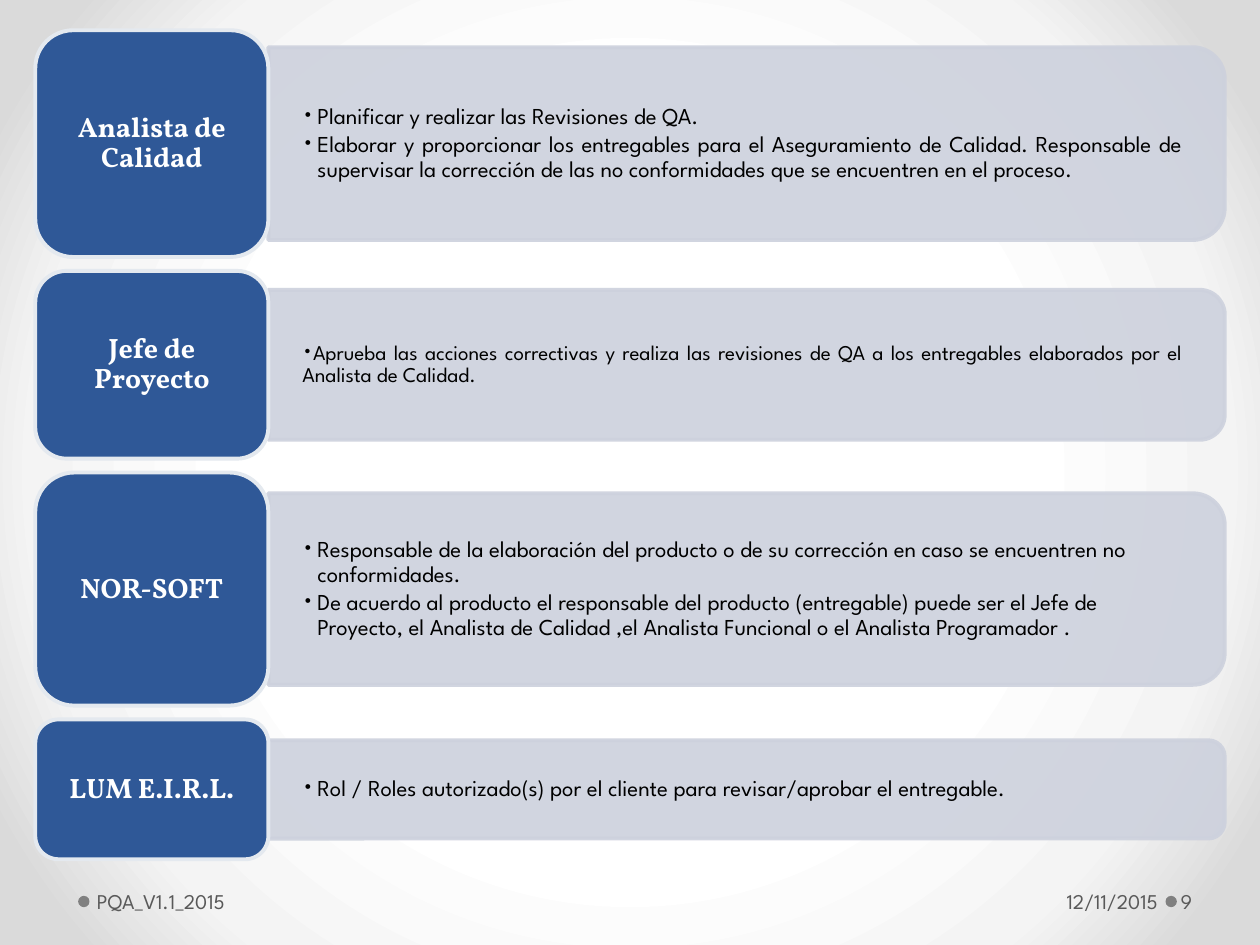
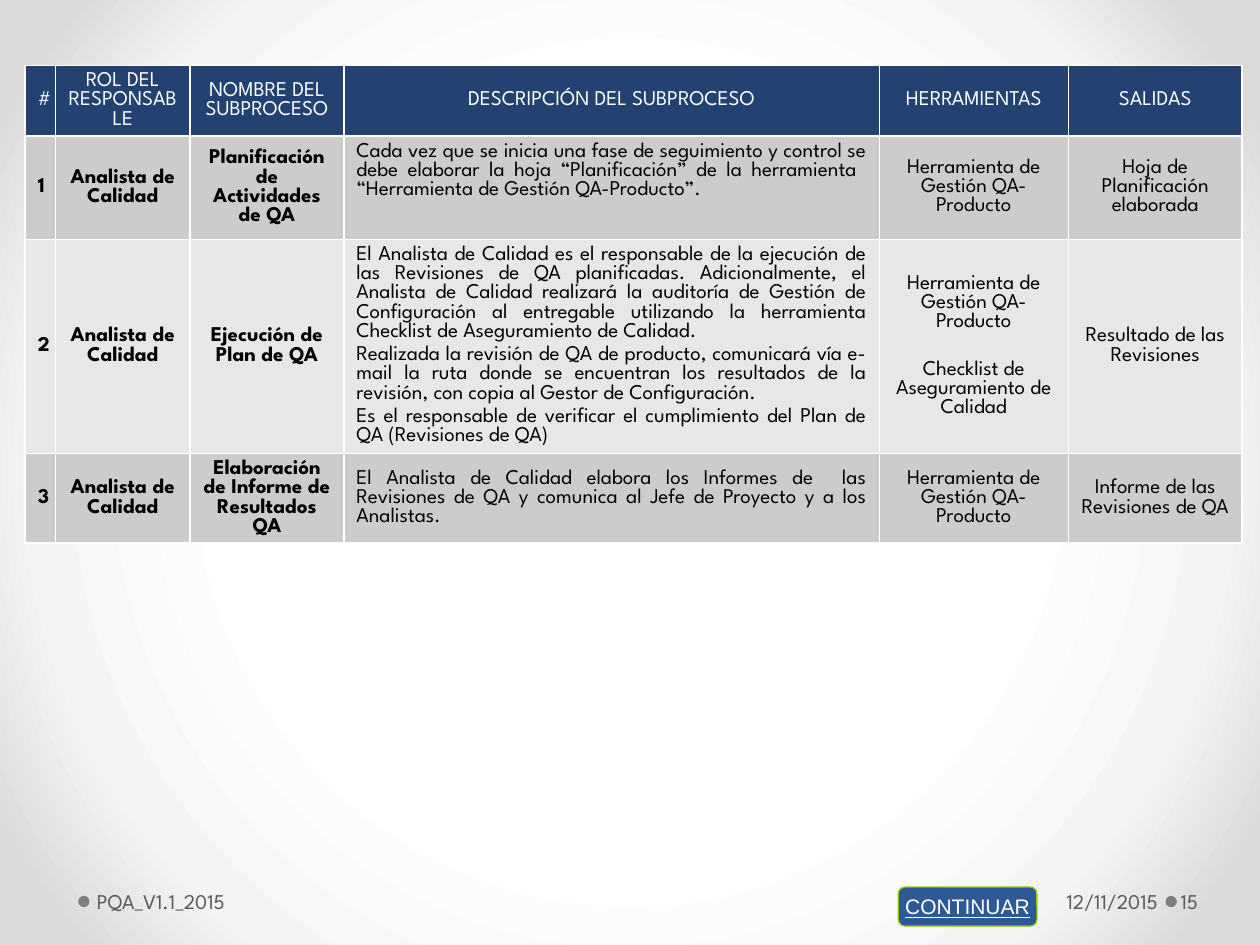
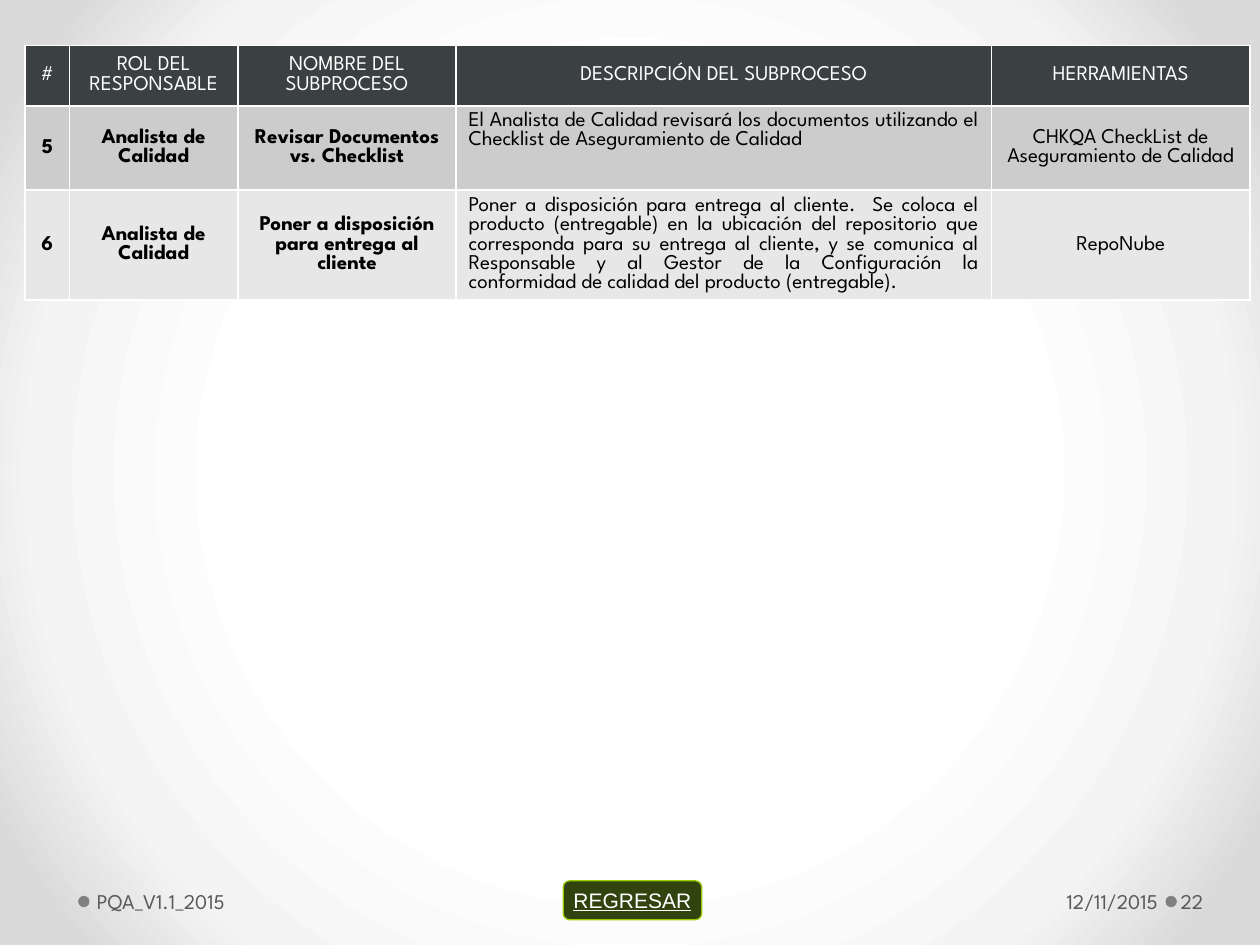
import pptx
import pptx.util
import pptx.oxml
import pptx.oxml.ns
import pptx.dml.color
import pptx.enum.shapes
import pptx.enum.text
import lxml.etree

Inches = pptx.util.Inches
Pt = pptx.util.Pt
RGBColor = pptx.dml.color.RGBColor
SHAPE = pptx.enum.shapes.MSO_SHAPE
ALIGN = pptx.enum.text.PP_ALIGN
MIDDLE = pptx.enum.text.MSO_ANCHOR.MIDDLE
TOP = pptx.enum.text.MSO_ANCHOR.TOP
qn = pptx.oxml.ns.qn

WHITE = RGBColor(0xFF, 0xFF, 0xFF)
BLACK = RGBColor(0x00, 0x00, 0x00)
FOOTER_GRAY = RGBColor(0x59, 0x59, 0x59)
DOT_GRAY = RGBColor(0x80, 0x80, 0x80)
BLUE = RGBColor(0x2F, 0x58, 0x97)
TILE_EDGE = RGBColor(0xE4, 0xE9, 0xEF)
PANEL = RGBColor(0xCD, 0xD1, 0xDD)
HEADER_BLUE = RGBColor(0x23, 0x42, 0x71)
HEADER_GRAY = RGBColor(0x3B, 0x40, 0x42)
ROW_DARK = RGBColor(0xCC, 0xCC, 0xCC)
ROW_LIGHT = RGBColor(0xE7, 0xE7, 0xE7)
LIME = RGBColor(0x99, 0xCC, 0x00)
DARK_GREEN = RGBColor(0x31, 0x44, 0x10)
BACKGROUND_STOPS = [(50, "FFFFFF"), (76, "F4F4F4"), (92, "DADADA")]

BODY_FONT = {"name": "League Spartan", "size": Pt(12), "bold": False}
TILE_FONT = {"name": "Vollkorn", "size": Pt(16), "bold": True}
BUTTON_FONT = {"name": "Arial", "size": Pt(12), "underline": True}


def write(frame, texts, color, font, paragraph_format, frame_format):
    for name, value in frame_format.items():
        setattr(frame, name, value)
    for index, text in enumerate(texts):
        paragraph = frame.add_paragraph() if index else frame.paragraphs[0]
        for name, value in paragraph_format.items():
            setattr(paragraph, name, value)
        run = paragraph.add_run()
        run.text = text
        for name, value in font.items():
            setattr(run.font, name, value)
        run.font.color.rgb = color


def add_box(slide, kind, place, fill, edge=None, width=0):
    shape = slide.shapes.add_shape(kind, *[Inches(length) for length in place])
    shape.shadow.inherit = False
    shape.fill.solid()
    shape.fill.fore_color.rgb = fill
    if edge is None:
        shape.line.fill.background()
    else:
        shape.line.color.rgb = edge
        shape.line.width = Pt(width)
    return shape


presentation = pptx.Presentation()
presentation.slide_width = Inches(10)
presentation.slide_height = Inches(7.5)

master = presentation.slide_master
master.background.fill.gradient()
gradient = master.element.find(".//" + qn("a:gradFill"))
for child in list(gradient):
    gradient.remove(child)
stops = lxml.etree.SubElement(gradient, qn("a:gsLst"))
for position, color in BACKGROUND_STOPS:
    stop = lxml.etree.SubElement(stops, qn("a:gs"), pos=str(position * 1000))
    lxml.etree.SubElement(stop, qn("a:srgbClr"), val=color)
circle = lxml.etree.SubElement(gradient, qn("a:path"), path="circle")
lxml.etree.SubElement(circle, qn("a:fillToRect"), l="50000", t="50000", r="50000", b="50000")

slides = []
for number in ["9", "15", "22"]:
    slide = presentation.slides.add_slide(presentation.slide_layouts[6])
    slides.append(slide)
    for left in [0.62, 9.25]:
        add_box(slide, SHAPE.OVAL, (left, 7.11, 0.09, 0.09), DOT_GRAY)
    for text, left, width, alignment, inset_left, inset_right in [
        ("PQA_V1.1_2015", 0.72, 3.96, ALIGN.LEFT, 0.05, 0.1),
        ("12/11/2015", 6.96, 2.28, ALIGN.RIGHT, 0.1, 0.05),
        (number, 9.34, 0.61, ALIGN.LEFT, 0.03, 0.05),
    ]:
        footer = slide.shapes.add_textbox(Inches(left), Inches(6.95), Inches(width), Inches(0.4))
        write(footer.text_frame, [text], FOOTER_GRAY, BODY_FONT, {"alignment": alignment},
              {"word_wrap": True, "vertical_anchor": MIDDLE,
               "margin_left": Inches(inset_left), "margin_right": Inches(inset_right)})

roles_slide, process_slide, review_slide = slides

roles = [
    ("Analista de Calidad", 1.8, 1.53, 13, 0.12, ALIGN.JUSTIFY, [
        "Planificar y realizar las Revisiones de QA.",
        "Elaborar y proporcionar los entregables para el Aseguramiento de Calidad. Responsable de "
        "supervisar la corrección de las no conformidades que se encuentren en el proceso."]),
    ("Jefe de Proyecto", 1.49, 1.19, 12, 0, ALIGN.JUSTIFY, [
        "Aprueba las acciones correctivas y realiza las revisiones de QA a los entregables "
        "elaborados por el Analista de Calidad."]),
    ("NOR-SOFT", 1.85, 1.52, 13, 0.12, ALIGN.LEFT, [
        "Responsable de la elaboración del producto o de su corrección en caso se encuentren no "
        "conformidades.",
        "De acuerdo al producto el responsable del producto (entregable) puede ser el Jefe de "
        "Proyecto, el Analista de Calidad ,el Analista Funcional o el Analista Programador ."]),
    ("LUM E.I.R.L.", 1.11, 0.78, 13, 0.12, ALIGN.LEFT, [
        "Rol / Roles autorizado(s) por el cliente para revisar/aprobar el entregable."]),
]
tile_left, tile_width, tile_gap = 0.28, 1.85, 0.11
panel_left, panel_width = tile_left + tile_width, 7.59
tile_top = 0.24
for role, tile_height, panel_height, size, indent, alignment, duties in roles:
    center = tile_top + tile_height / 2
    panel = add_box(roles_slide, SHAPE.ROUND_2_SAME_RECTANGLE,
                    (panel_left + (panel_width - panel_height) / 2, center - panel_width / 2,
                     panel_height, panel_width), PANEL, PANEL, 2.25)
    panel.rotation = 90
    for color in panel.element.spPr.iter(qn("a:srgbClr")):
        lxml.etree.SubElement(color, qn("a:alpha"), val="90000")

    duty_box = roles_slide.shapes.add_textbox(
        Inches(panel_left), Inches(center - panel_height / 2),
        Inches(panel_width - 0.05 * panel_height), Inches(panel_height))
    write(duty_box.text_frame, duties, BLACK, {**BODY_FONT, "size": Pt(size)},
          {"alignment": alignment, "line_spacing": 0.9, "space_after": Pt(2)},
          {"word_wrap": True, "vertical_anchor": MIDDLE,
           "margin_left": Inches(0.27), "margin_right": Inches(0.27)})
    for paragraph in duty_box.text_frame.paragraphs:
        properties = paragraph._p.get_or_add_pPr()
        properties.set("marL", str(Inches(indent)))
        properties.set("indent", str(-Inches(indent)))
        lxml.etree.SubElement(properties, qn("a:buFont"), typeface=BODY_FONT["name"])
        lxml.etree.SubElement(properties, qn("a:buChar"), char="•")

    tile = add_box(roles_slide, SHAPE.ROUNDED_RECTANGLE,
                   (tile_left, tile_top, tile_width, tile_height), BLUE, TILE_EDGE, 2.25)
    write(tile.text_frame, [role], WHITE, TILE_FONT,
          {"alignment": ALIGN.CENTER, "line_spacing": 0.9},
          {"word_wrap": True, "vertical_anchor": MIDDLE,
           "margin_left": Inches(0.07), "margin_right": Inches(0.07),
           "margin_top": Inches(0.03), "margin_bottom": Inches(0.03)})
    tile_top += tile_height + tile_gap

analyst = "Analista de Calidad"
tool = "Herramienta de Gestión QA-Producto"
headings = ["#", "ROL DEL RESPONSABLE", "NOMBRE DEL SUBPROCESO",
            "DESCRIPCIÓN DEL SUBPROCESO", "HERRAMIENTAS"]
process_rows = [
    headings + ["SALIDAS"],
    ["1", analyst, "Planificación de Actividades de QA",
     "Cada vez que se inicia una fase de seguimiento y control se debe elaborar la hoja "
     "“Planificación” de la herramienta  “Herramienta de Gestión QA-Producto”.",
     tool, "Hoja de Planificación elaborada"],
    ["2", analyst, "Ejecución de Plan de QA",
     "El Analista de Calidad es el responsable de la ejecución de las Revisiones de QA "
     "planificadas. Adicionalmente, el Analista de Calidad realizará la auditoría de Gestión de "
     "Configuración al entregable utilizando la herramienta Checklist de Aseguramiento de Calidad.\n"
     "Realizada la revisión de QA de producto, comunicará vía e-mail la ruta donde se encuentran "
     "los resultados de la revisión, con copia al Gestor de Configuración.\n"
     "Es el responsable de verificar el cumplimiento del Plan de QA (Revisiones de QA)",
     tool + "\nChecklist de Aseguramiento de Calidad", "Resultado de las Revisiones"],
    ["3", analyst, "Elaboración de Informe de Resultados QA",
     "El Analista de Calidad elabora los Informes de  las Revisiones de QA y comunica al Jefe de "
     "Proyecto y a los Analistas.",
     tool, "Informe de las Revisiones de QA"],
]
review_rows = [
    headings,
    ["5", analyst, "Revisar Documentos vs. Checklist",
     "El Analista de Calidad revisará los documentos utilizando el Checklist de Aseguramiento de "
     "Calidad",
     "CHKQA CheckList de Aseguramiento de Calidad"],
    ["6", analyst, "Poner a disposición para entrega al cliente",
     "Poner a disposición para entrega al cliente.  Se coloca el producto (entregable) en la "
     "ubicación del repositorio que corresponda para su entrega al cliente, y se comunica al "
     "Responsable y al Gestor de la Configuración la conformidad de calidad del producto "
     "(entregable).",
     "RepoNube"],
]
description_column = 3
tables = []
for slide, top, header_fill, widths, heights, rows in [
    (process_slide, 0.52, HEADER_BLUE, [0.23, 1.07, 1.22, 4.25, 1.5, 1.38],
     [0.56, 0.82, 1.7, 0.71], process_rows),
    (review_slide, 0.36, HEADER_GRAY, [0.35, 1.34, 1.73, 4.25, 2.05],
     [0.48, 0.67, 0.87], review_rows),
]:
    table = slide.shapes.add_table(len(rows), len(widths), Inches(0.2), Inches(top),
                                   Inches(sum(widths)), Inches(sum(heights))).table
    tables.append(table)
    for column, width in zip(table.columns, widths):
        column.width = Inches(width)
    for row_index, (row, height) in enumerate(zip(rows, heights)):
        table.rows[row_index].height = Inches(height)
        is_header = row_index == 0
        is_last = row_index == len(rows) - 1
        row_fill = header_fill if is_header else ROW_DARK if row_index % 2 else ROW_LIGHT
        for column_index, text in enumerate(row):
            cell = table.cell(row_index, column_index)
            is_description = column_index == description_column and not is_header
            cell.vertical_anchor = TOP if is_description and not is_last else MIDDLE
            cell.fill.solid()
            cell.fill.fore_color.rgb = row_fill
            write(cell.text_frame, text.split("\n"), WHITE if is_header else BLACK,
                  {**BODY_FONT, "bold": not is_header and column_index < description_column},
                  {"alignment": ALIGN.JUSTIFY if is_description else ALIGN.CENTER,
                   "line_spacing": Pt(11), "space_before": Pt(0 if is_header else 2.4)}, {})
            properties = cell._tc.get_or_add_tcPr()
            for order, side in enumerate(["lnL", "lnR", "lnT", "lnB"]):
                border = lxml.etree.Element(qn("a:" + side), w=str(Pt(1)))
                paint = lxml.etree.SubElement(border, qn("a:solidFill"))
                lxml.etree.SubElement(paint, qn("a:srgbClr"), val=str(WHITE))
                properties.insert(order, border)

tables[0].cell(2, 4).text_frame.paragraphs[1].space_before = Pt(16)

for slide, label, left, top, fill in [
    (process_slide, "CONTINUAR", 7.13, 7.04, BLUE),
    (review_slide, "REGRESAR", 4.47, 6.99, DARK_GREEN),
]:
    button = add_box(slide, SHAPE.FLOWCHART_ALTERNATE_PROCESS, (left, top, 1.1, 0.31),
                     fill, LIME, 0.75)
    write(button.text_frame, [label], WHITE, BUTTON_FONT, {"alignment": ALIGN.CENTER},
          {"word_wrap": False, "vertical_anchor": MIDDLE})

presentation.save("out.pptx")
